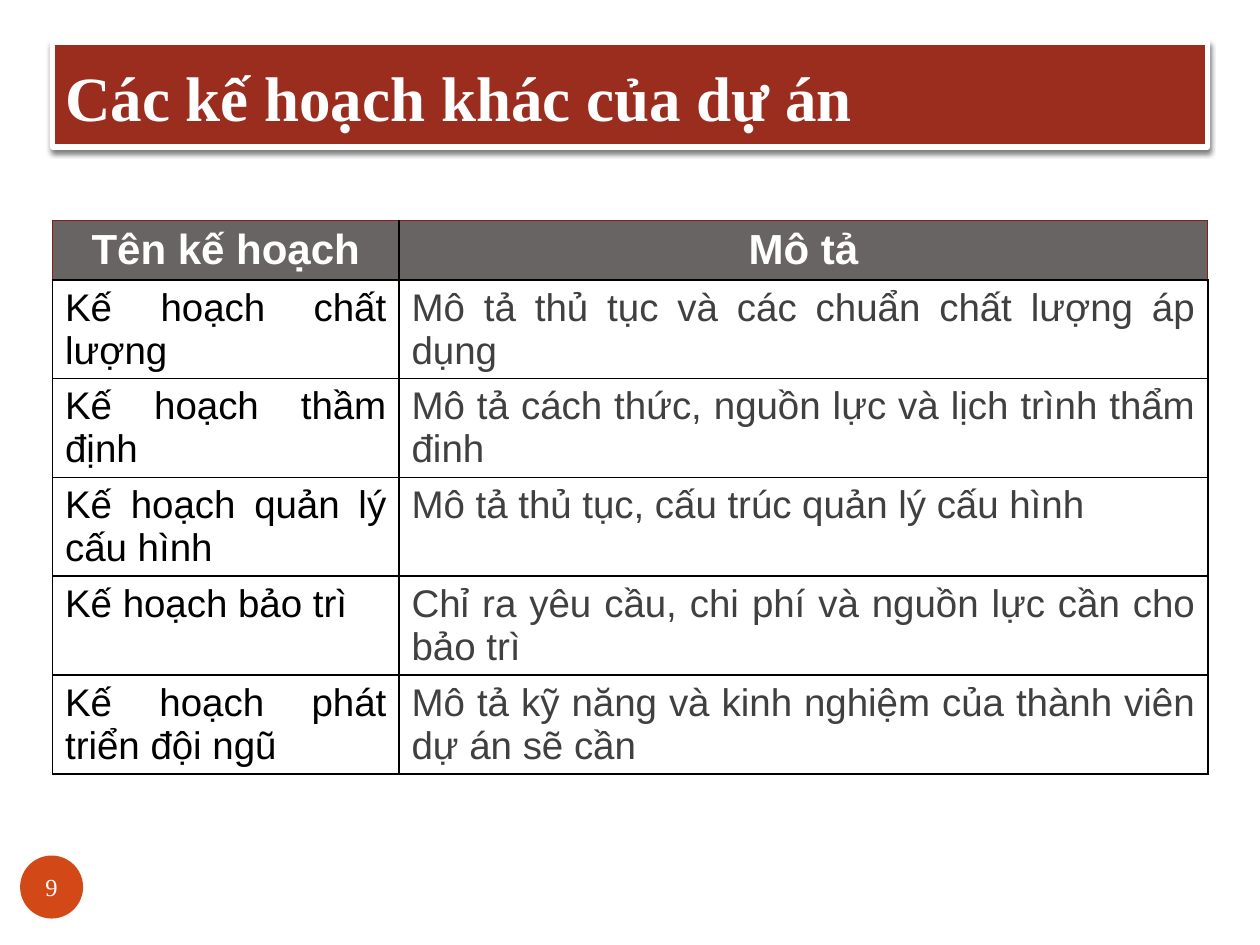
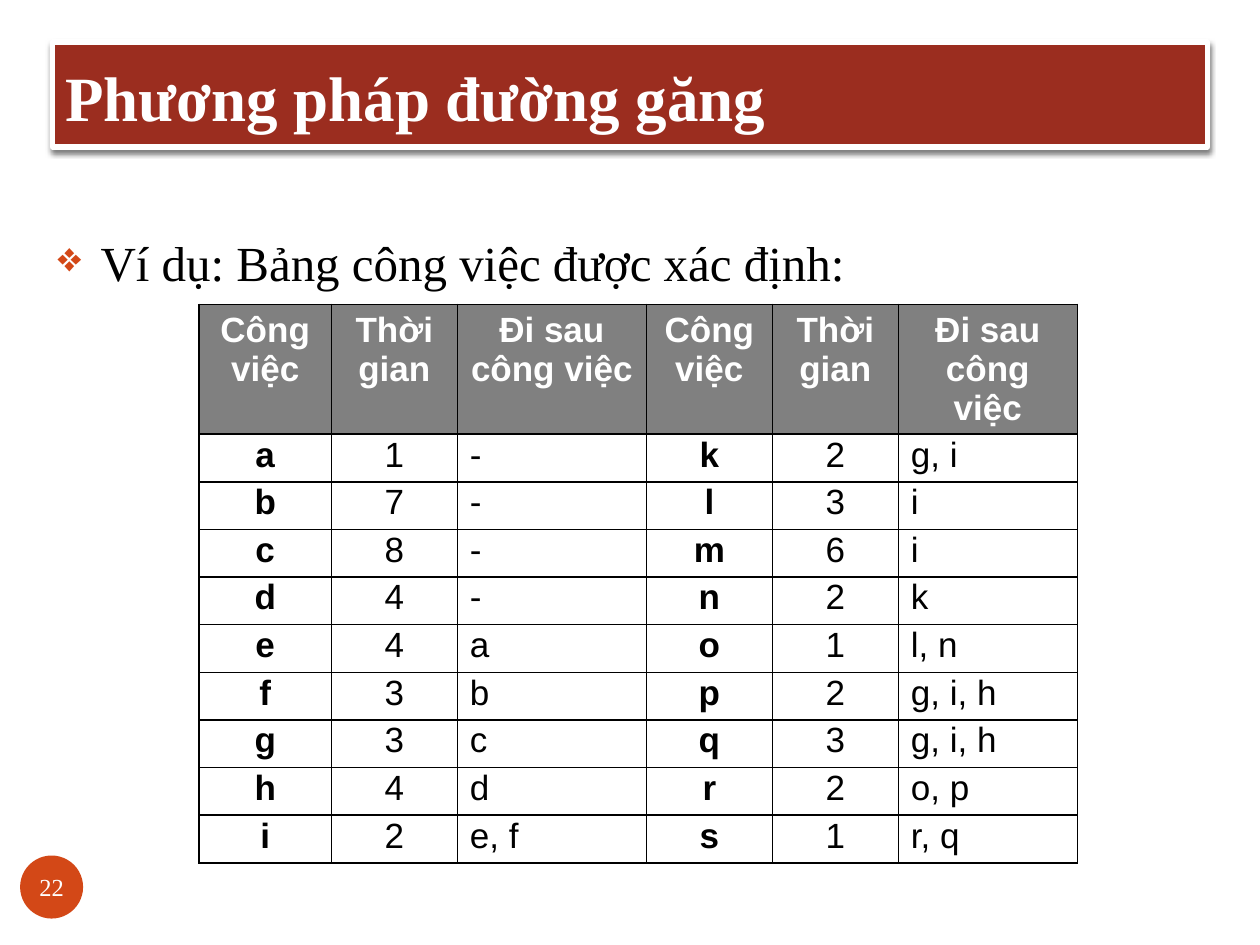
from lxml import etree
from pptx import Presentation
from pptx.dml.color import RGBColor
from pptx.enum.shapes import MSO_SHAPE
from pptx.enum.text import MSO_ANCHOR, MSO_AUTO_SIZE, PP_ALIGN
from pptx.oxml import parse_xml
from pptx.oxml.ns import nsdecls, qn
from pptx.util import Inches, Pt

LEFT, CENTER, JUSTIFY = PP_ALIGN.LEFT, PP_ALIGN.CENTER, PP_ALIGN.JUSTIFY
TOP, MIDDLE, BOTTOM = MSO_ANCHOR.TOP, MSO_ANCHOR.MIDDLE, MSO_ANCHOR.BOTTOM
NO_FIT = MSO_AUTO_SIZE.NONE
OVAL = MSO_SHAPE.OVAL

SLIDE_WIDTH, SLIDE_HEIGHT = Inches(10), Inches(7.5)
TITLE_ONLY = 5
SERIF, SANS = "Times New Roman", "Arial"
COLORS = {
    "white": "FFFFFF",
    "black": "000000",
    "band": "9B2D1F",
    "accent": "D34817",
    "plan_header": "696464",
    "plan_edge": "812014",
    "plan_text": "404040",
    "task_header": "808080",
}

TITLE_BOX = (4.17, 4.44, 91.67, 11.11)
NUMBER_BOX = (1.6, 90.53, 5, 6.67)
INTRO_BOX = (3.6, 22.67, 92.3, 8)

TITLE_FONT = {"name": SERIF, "size": Pt(36), "bold": True, "color": "white"}
NUMBER_FONT = {"name": SERIF, "size": Pt(14), "color": "white"}
INTRO_FONT = {"name": SERIF, "size": Pt(28), "color": "black"}
PLAN_HEADER_FONT = {"name": SANS, "size": Pt(24), "bold": True, "color": "white"}
PLAN_NAME_FONT = {"name": SANS, "size": Pt(22), "bold": False, "color": "black"}
PLAN_TEXT_FONT = PLAN_NAME_FONT | {"color": "plan_text"}
TASK_HEADER_FONT = PLAN_HEADER_FONT | {"size": Pt(20)}
TASK_FONT = {"name": SANS, "size": Pt(20), "bold": False, "color": "black"}
TASK_NAME_FONT = TASK_FONT | {"bold": True}

PLAN_ROWS = [
    ("Tên kế hoạch", "Mô tả"),
    ("Kế hoạch chất lượng", "Mô tả thủ tục và các chuẩn chất lượng áp dụng"),
    ("Kế hoạch thầm định", "Mô tả cách thức, nguồn lực và lịch trình thẩm đinh"),
    ("Kế hoạch quản lý cấu hình", "Mô tả thủ tục, cấu trúc quản lý cấu hình"),
    ("Kế hoạch bảo trì", "Chỉ ra yêu cầu, chi phí và nguồn lực cần cho bảo trì"),
    ("Kế hoạch phát triển đội ngũ",
     "Mô tả kỹ năng và kinh nghiệm của thành viên dự án sẽ cần"),
]
TASK_ROWS = [
    ("Công việc", "Thời gian", "Đi sau công việc") * 2,
    ("a", "1", "-", "k", "2", "g, i"),
    ("b", "7", "-", "l", "3", "i"),
    ("c", "8", "-", "m", "6", "i"),
    ("d", "4", "-", "n", "2", "k"),
    ("e", "4", "a", "o", "1", "l, n"),
    ("f", "3", "b", "p", "2", "g, i, h"),
    ("g", "3", "c", "q", "3", "g, i, h"),
    ("h", "4", "d", "r", "2", "o, p"),
    ("i", "2", "e, f", "s", "1", "r, q"),
]

PLAN_TABLE = {
    "origin": (4.17, 23.33), "columns": (27.5, 64.2),
    "header_height": 6.27, "row_height": 10.4,
    "header_fill": "plan_header", "header_font": PLAN_HEADER_FONT,
    "header_edge": ("plan_edge", 0.75), "line_spacing": 1.0,
    "styles": [(PLAN_NAME_FONT, JUSTIFY), (PLAN_TEXT_FONT, JUSTIFY)],
}
TASK_TABLE = {
    "origin": (15.8, 32.2), "columns": (10.5, 10, 15, 10, 10, 14.2),
    "header_height": 13.75, "row_height": 5.04,
    "header_fill": "task_header", "header_font": TASK_HEADER_FONT,
    "header_edge": ("black", 1), "line_spacing": 0.85,
    "styles": [(TASK_NAME_FONT, CENTER), (TASK_FONT, CENTER), (TASK_FONT, LEFT)] * 2,
}


def across(percent):
    """Turn a percentage of the slide width into a length."""
    return round(SLIDE_WIDTH * percent / 100)


def down(percent):
    """Turn a percentage of the slide height into a length."""
    return round(SLIDE_HEIGHT * percent / 100)


def place(box):
    """Turn a box in percentages into left, top, width and height."""
    left, top, width, height = box
    return across(left), down(top), across(width), down(height)


def rgb(color):
    """Look up a named colour."""
    return RGBColor.from_string(COLORS[color])


def paint(target, color):
    """Give a shape or cell a solid fill."""
    target.fill.solid()
    target.fill.fore_color.rgb = rgb(color)


def set_values(target, values):
    """Set several attributes of one object."""
    for name, value in values.items():
        setattr(target, name, value)


def write(frame, text, font, align=LEFT, line_spacing=1.0):
    """Write one formatted paragraph and return it."""
    paragraph = frame.paragraphs[0]
    run = paragraph.add_run()
    run.text = text
    set_values(paragraph, {"alignment": align, "line_spacing": line_spacing})
    set_values(run.font, {key: font[key] for key in font if key != "color"})
    run.font.color.rgb = rgb(font["color"])
    return paragraph


def set_frame(frame, anchor, margins, wrap=True):
    """Set the anchor, the inner margins in inches and the wrapping."""
    sides = ("margin_left", "margin_top", "margin_right", "margin_bottom")
    set_values(frame, dict(zip(sides, map(Inches, margins))))
    set_values(frame, {"auto_size": NO_FIT, "vertical_anchor": anchor, "word_wrap": wrap})


def add_title(slide, text):
    """Format the title placeholder as a framed band with a soft shadow."""
    title = slide.shapes.title
    set_values(title, dict(zip(("left", "top", "width", "height"), place(TITLE_BOX))))
    paint(title, "band")
    title.line.color.rgb = rgb("white")
    title.line.width = Pt(3)
    title.element.spPr.append(parse_xml(
        f'<a:effectLst {nsdecls("a")}>'
        f'<a:outerShdw blurRad="{Pt(3)}" dist="{Pt(2)}" dir="5400000" rotWithShape="0">'
        f'<a:srgbClr val="{COLORS["black"]}"><a:alpha val="50000"/></a:srgbClr>'
        '</a:outerShdw></a:effectLst>'))
    set_frame(title.text_frame, BOTTOM, (0.1, 0.05, 0.1, 0.1))
    write(title.text_frame, text, TITLE_FONT)


def add_number(slide, number):
    """Add the round slide number badge."""
    badge = slide.shapes.add_shape(OVAL, *place(NUMBER_BOX))
    badge.shadow.inherit = False
    paint(badge, "accent")
    badge.line.fill.background()
    set_frame(badge.text_frame, MIDDLE, (0, 0, 0, 0), wrap=False)
    write(badge.text_frame, str(number), NUMBER_FONT, CENTER)


def add_intro(slide, text):
    """Add the bulleted sentence above a table."""
    frame = slide.shapes.add_textbox(*place(INTRO_BOX)).text_frame
    set_frame(frame, TOP, (0.1, 0.05, 0.1, 0.05))
    properties = frame.paragraphs[0]._p.get_or_add_pPr()
    indent = Inches(0.34)
    properties.set("marL", str(indent))
    properties.set("indent", str(-indent))
    bullet_color = etree.SubElement(properties, qn("a:buClr"))
    etree.SubElement(bullet_color, qn("a:srgbClr"), val=COLORS["accent"])
    etree.SubElement(properties, qn("a:buSzPct"), val="85000")
    etree.SubElement(properties, qn("a:buChar"), char="❖")
    write(frame, text, INTRO_FONT, JUSTIFY, 1.2)


def set_borders(cell, edges):
    """Draw the cell borders from a dict of side to colour and points."""
    properties = cell._tc.get_or_add_tcPr()
    for side in "LRTB":
        color, points = edges.get(side, ("black", 1))
        line = etree.SubElement(properties, qn(f"a:ln{side}"), w=str(Pt(points)))
        fill = etree.SubElement(line, qn("a:solidFill"))
        etree.SubElement(fill, qn("a:srgbClr"), val=COLORS[color])


def add_grid(slide, rows, layout):
    """Add a table with a coloured header row and ruled cells."""
    columns = layout["columns"]
    heights = [layout["header_height"]] + [layout["row_height"]] * (len(rows) - 1)
    box = place((*layout["origin"], sum(columns), sum(heights)))
    table = slide.shapes.add_table(len(rows), len(columns), *box).table
    table.horz_banding = False
    for column, width in zip(table.columns, columns):
        column.width = across(width)
    for row, height in zip(table.rows, heights):
        row.height = down(height)
    last = len(columns) - 1
    for row_index, texts in enumerate(rows):
        for column_index, text in enumerate(texts):
            cell = table.cell(row_index, column_index)
            font, align = layout["styles"][column_index]
            fill, spacing, edges = "white", layout["line_spacing"], {}
            if row_index == 0:
                font, align = layout["header_font"], CENTER
                fill, spacing = layout["header_fill"], 1.0
                sides = "T" + "L" * (column_index == 0) + "R" * (column_index == last)
                edges = dict.fromkeys(sides, layout["header_edge"])
            set_borders(cell, edges)
            paint(cell, fill)
            write(cell.text_frame, text, font, align, spacing)


def add_slide(presentation, title, number):
    """Add a slide with the shared title band and number badge."""
    slide = presentation.slides.add_slide(presentation.slide_layouts[TITLE_ONLY])
    add_number(slide, number)
    add_title(slide, title)
    return slide


def main():
    """Build both slides and save the presentation."""
    presentation = Presentation()
    presentation.slide_width, presentation.slide_height = SLIDE_WIDTH, SLIDE_HEIGHT

    plans = add_slide(presentation, "Các kế hoạch khác của dự án", 9)
    add_grid(plans, PLAN_ROWS, PLAN_TABLE)

    tasks = add_slide(presentation, "Phương pháp đường găng", 22)
    add_intro(tasks, "Ví dụ: Bảng công việc được xác định:")
    add_grid(tasks, TASK_ROWS, TASK_TABLE)

    presentation.save("out.pptx")


if __name__ == "__main__":
    main()
